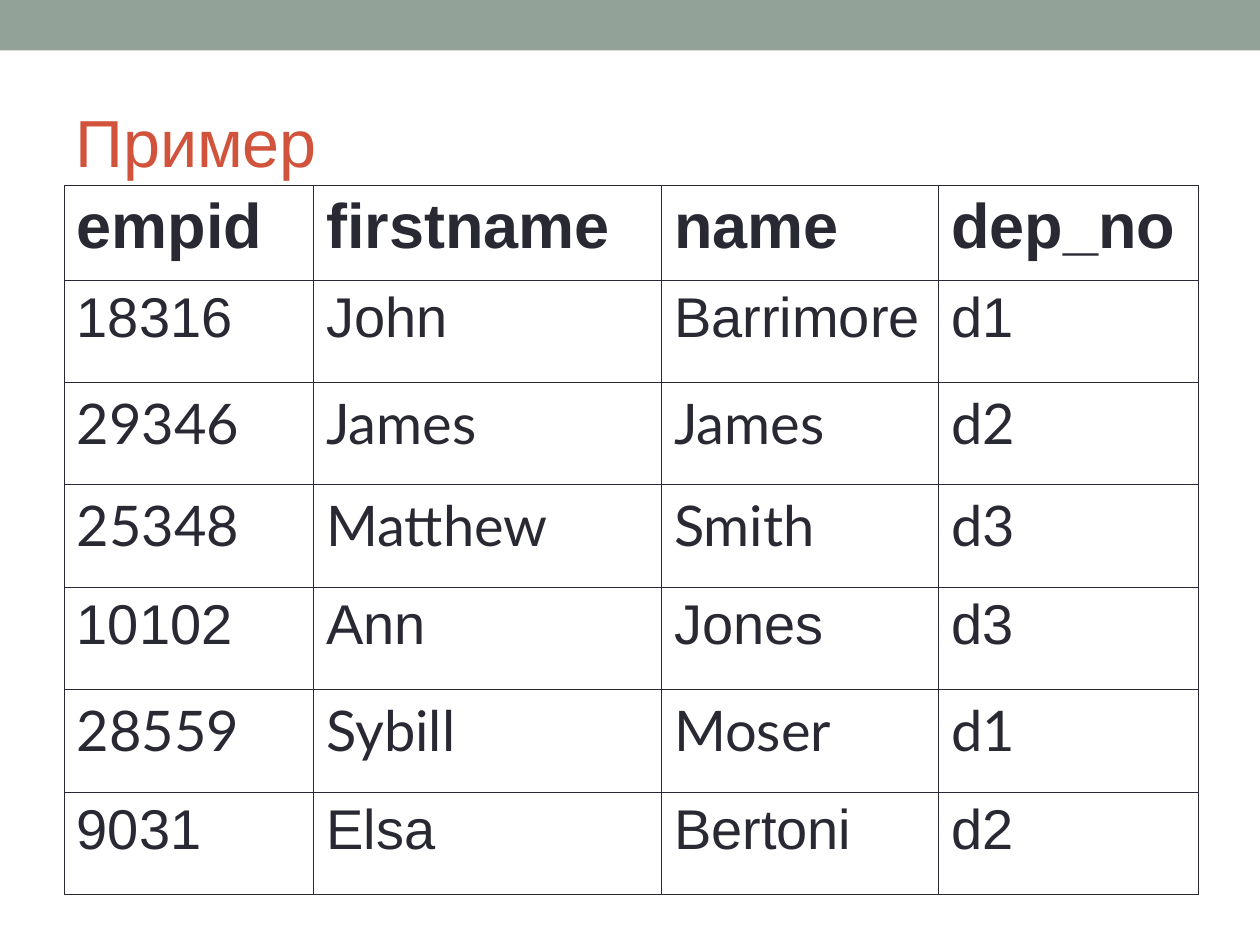
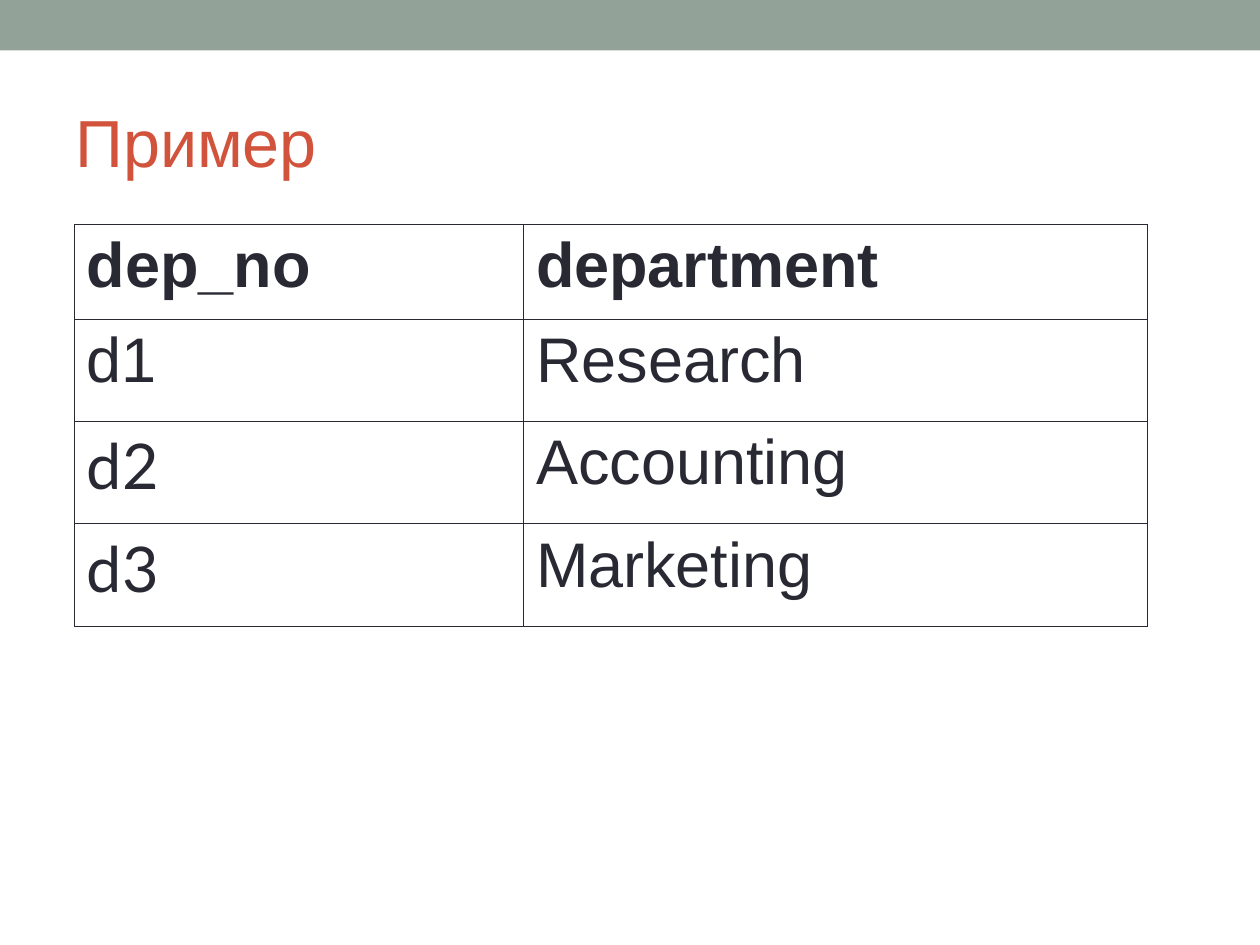
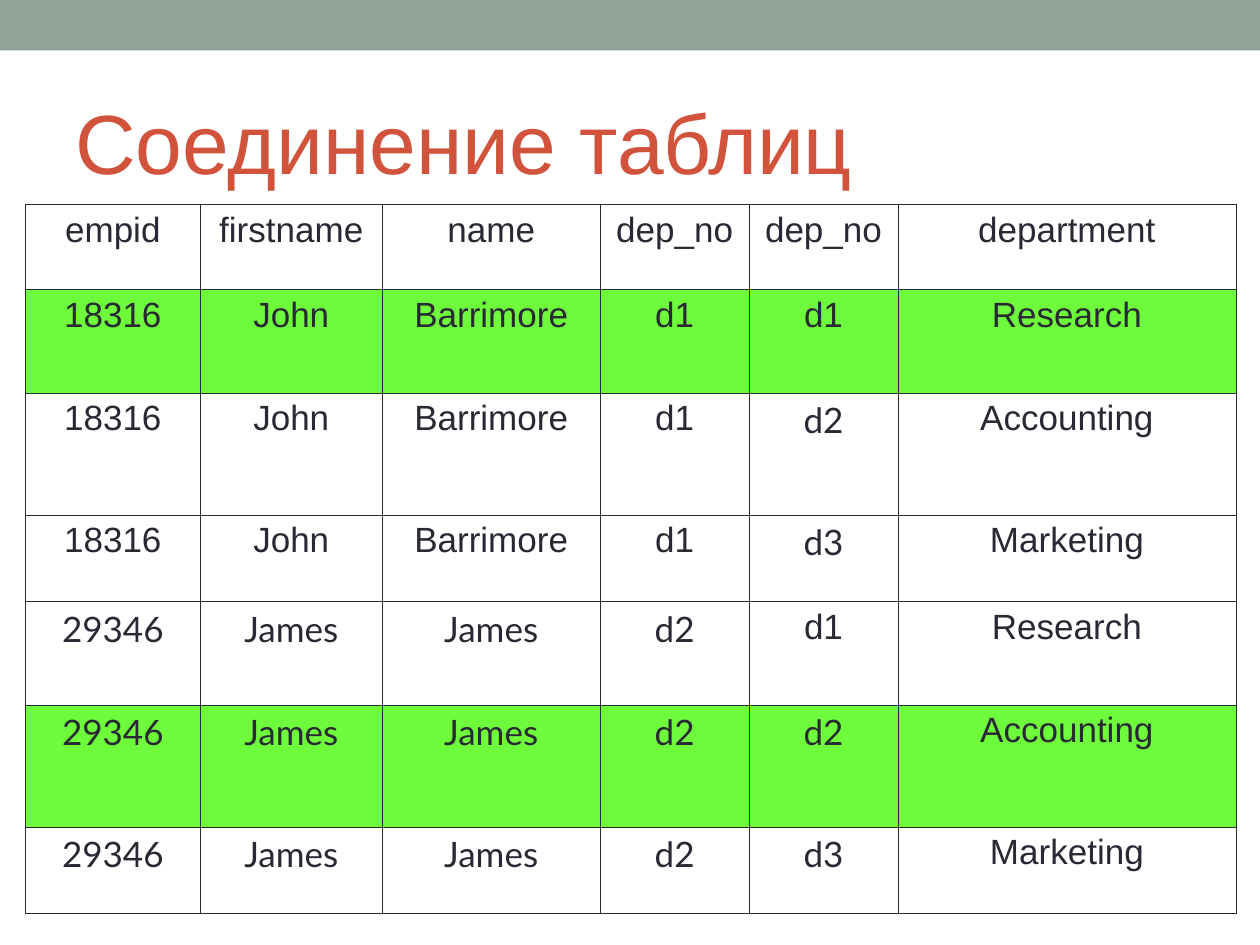
import pptx
import pptx.dml.color
import pptx.enum.shapes
import pptx.enum.text
import pptx.oxml
import pptx.oxml.ns
import pptx.util
from dataclasses import dataclass
from itertools import product

Inches, Pt = pptx.util.Inches, pptx.util.Pt
ALIGN = pptx.enum.text.PP_ALIGN


@dataclass(frozen=True)
class Theme:
    band: str = "93A299"
    title: str = "D2533C"
    ink: str = "292934"
    match: str = "6DFB3B"
    main: str = "Arial"
    alt: str = "Lato"
    title_size: int = 38
    title_large: int = 48
    head_size: int = 36
    body_size: int = 32
    small_size: int = 20
    rule: float = 0.45


T = Theme()
W, H = 10, 7.5

# Content: each record is (font, values); departments have a font for the key
EMPLOYEE_HEAD = ["empid", "firstname", "name", "dep_no"]
EMPLOYEES = [
    (T.main, ["18316", "John", "Barrimore", "d1"]),
    (T.alt, ["29346", "James", "James", "d2"]),
    (T.alt, ["25348", "Matthew", "Smith", "d3"]),
    (T.main, ["10102", "Ann", "Jones", "d3"]),
    (T.alt, ["28559", "Sybill", "Moser", "d1"]),
    (T.main, ["9031", "Elsa", "Bertoni", "d2"]),
]
DEPARTMENT_HEAD = ["dep_no", "department"]
DEPARTMENTS = [
    (T.main, ["d1", "Research"]),
    (T.alt, ["d2", "Accounting"]),
    (T.alt, ["d3", "Marketing"]),
]
JOINED_EMPLOYEES = 2

# Rows of (text, font) cells
employee_rows = [[(v, font) for v in values] for font, values in EMPLOYEES]
department_rows = [[(key, font), (name, T.main)]
                   for font, (key, name) in DEPARTMENTS]
joined_rows = [e + d for e, d in product(employee_rows[:JOINED_EMPLOYEES],
                                         department_rows)]

# Tables: box as left, top, width, height; columns and rows as weights
SLIDES = [
    dict(title="Пример", title_size=T.title_size,
         head=EMPLOYEE_HEAD, body=employee_rows,
         box=(0.51, 1.47, 9, 5.63), cols=[1.98, 2.76, 2.2, 2.06],
         rows=[0.75] + [0.81] * len(employee_rows),
         head_size=T.head_size, body_size=T.body_size),
    dict(title="Пример", title_size=T.title_size,
         head=DEPARTMENT_HEAD, body=department_rows,
         box=(0.59, 1.78, 8.52, 3.19), cols=[3.56, 4.95],
         rows=[0.75] + [0.81] * len(department_rows),
         head_size=T.head_size, body_size=T.head_size),
    dict(title="Соединение таблиц", title_size=T.title_large,
         head=EMPLOYEE_HEAD + DEPARTMENT_HEAD, body=joined_rows,
         box=(0.2, 1.62, 9.61, 5.63),
         cols=[1.39, 1.44, 1.73, 1.18, 1.18, 2.68],
         rows=[0.65] + [0.79, 0.93, 0.66] * JOINED_EMPLOYEES,
         head_size=T.small_size, body_size=T.small_size,
         head_bold=False, align=ALIGN.CENTER, key_cols=(3, 4)),
]


def rgb(color):
    return pptx.dml.color.RGBColor.from_string(color)


def share(total, weights):
    return [Inches(total * w / sum(weights)) for w in weights]


def write(tf, text, size, color, font=T.main, bold=False, align=ALIGN.LEFT):
    tf.text = text
    p = tf.paragraphs[0]
    p.alignment = align
    f = p.runs[0].font
    f.name, f.size, f.bold = font, Pt(size), bold
    f.color.rgb = rgb(color)
    return p


def add_borders(cell):
    tc_pr = cell._tc.get_or_add_tcPr()
    for i, side in enumerate("LRTB"):
        tc_pr.insert(i, pptx.oxml.parse_xml(
            f'<a:ln{side} {pptx.oxml.ns.nsdecls("a")} w="{Pt(T.rule)}">'
            f'<a:solidFill><a:srgbClr val="{T.ink}"/></a:solidFill>'
            f'</a:ln{side}>'))


def add_frame(s, title, size):
    # Top band
    sp = s.shapes.add_shape(pptx.enum.shapes.MSO_SHAPE.RECTANGLE,
                            0, 0, Inches(W), Inches(0.4))
    sp.shadow.inherit = False
    sp.fill.solid()
    sp.fill.fore_color.rgb = rgb(T.band)
    sp.line.fill.background()
    # Title
    tf = s.shapes.add_textbox(Inches(0.05 * W), Inches(0.58),
                              Inches(0.9 * W), Inches(1.08)).text_frame
    tf.word_wrap = True
    tf.vertical_anchor = pptx.enum.text.MSO_ANCHOR.MIDDLE
    write(tf, title, size, T.title)


def add_grid(s, head, body, box, cols, rows, head_size, body_size,
             head_bold=True, align=ALIGN.LEFT, key_cols=None):
    cells = [[(v, T.main) for v in head]] + body
    table = s.shapes.add_table(len(rows), len(cols),
                               *(Inches(v) for v in box)).table
    table.first_row = table.horz_banding = False
    for col, width in zip(table.columns, share(box[2], cols)):
        col.width = width
    for row, height in zip(table.rows, share(box[3], rows)):
        row.height = height
    for r, values in enumerate(cells):
        size = body_size if r else head_size
        # Rows whose two keys agree are highlighted
        matched = key_cols and r and len({values[k][0] for k in key_cols}) == 1
        for c, (text, font) in enumerate(values):
            cell = table.cell(r, c)
            p = write(cell.text_frame, text, size, T.ink, font,
                      head_bold and r == 0, align)
            p.space_before = Pt(size / 4)
            if matched:
                cell.fill.solid()
                cell.fill.fore_color.rgb = rgb(T.match)
            else:
                cell.fill.background()
            add_borders(cell)


prs = pptx.Presentation()
prs.slide_width, prs.slide_height = Inches(W), Inches(H)
for content in SLIDES:
    s = prs.slides.add_slide(prs.slide_layouts[6])
    grid = dict(content)
    add_frame(s, grid.pop("title"), grid.pop("title_size"))
    add_grid(s, **grid)
prs.save("out.pptx")
